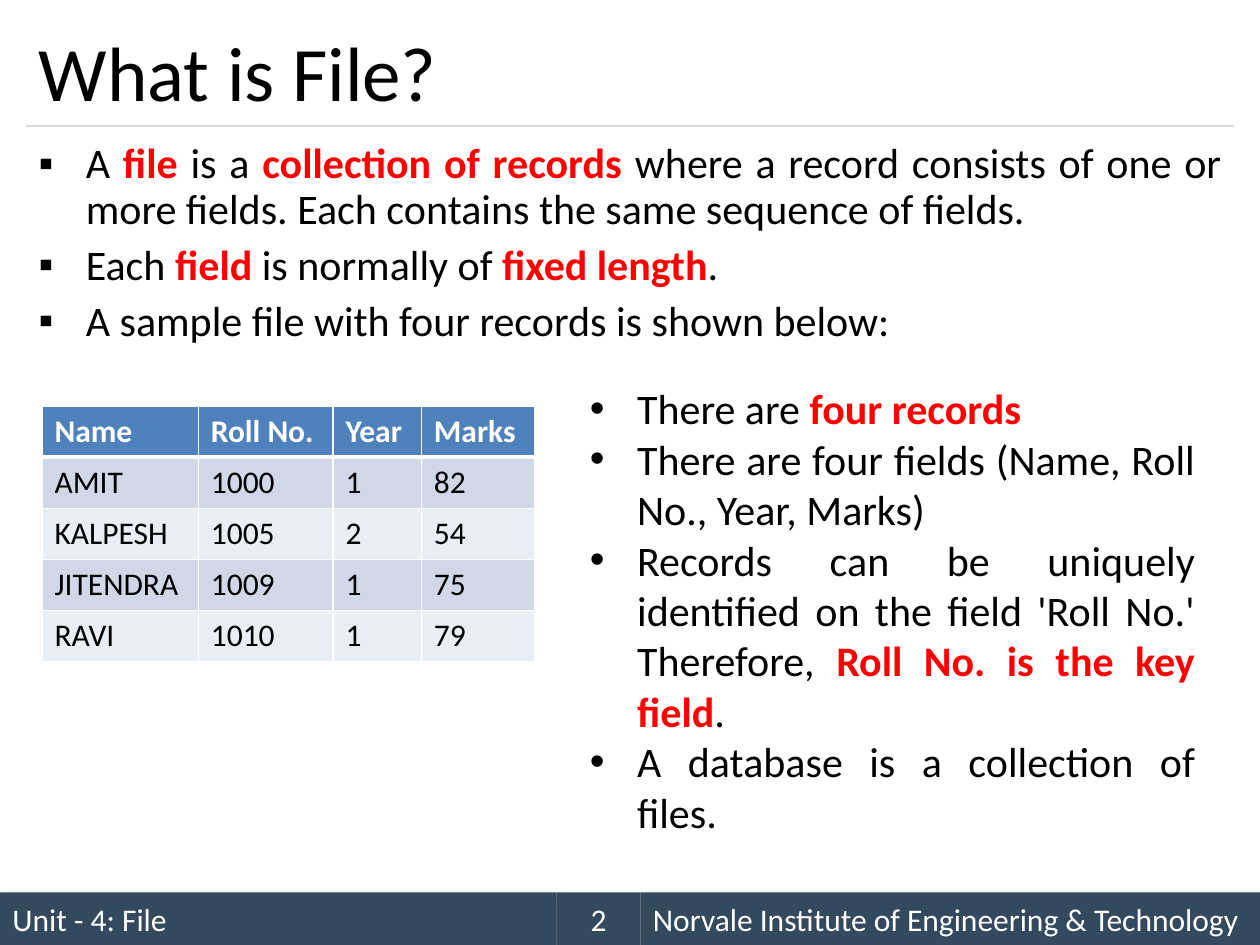
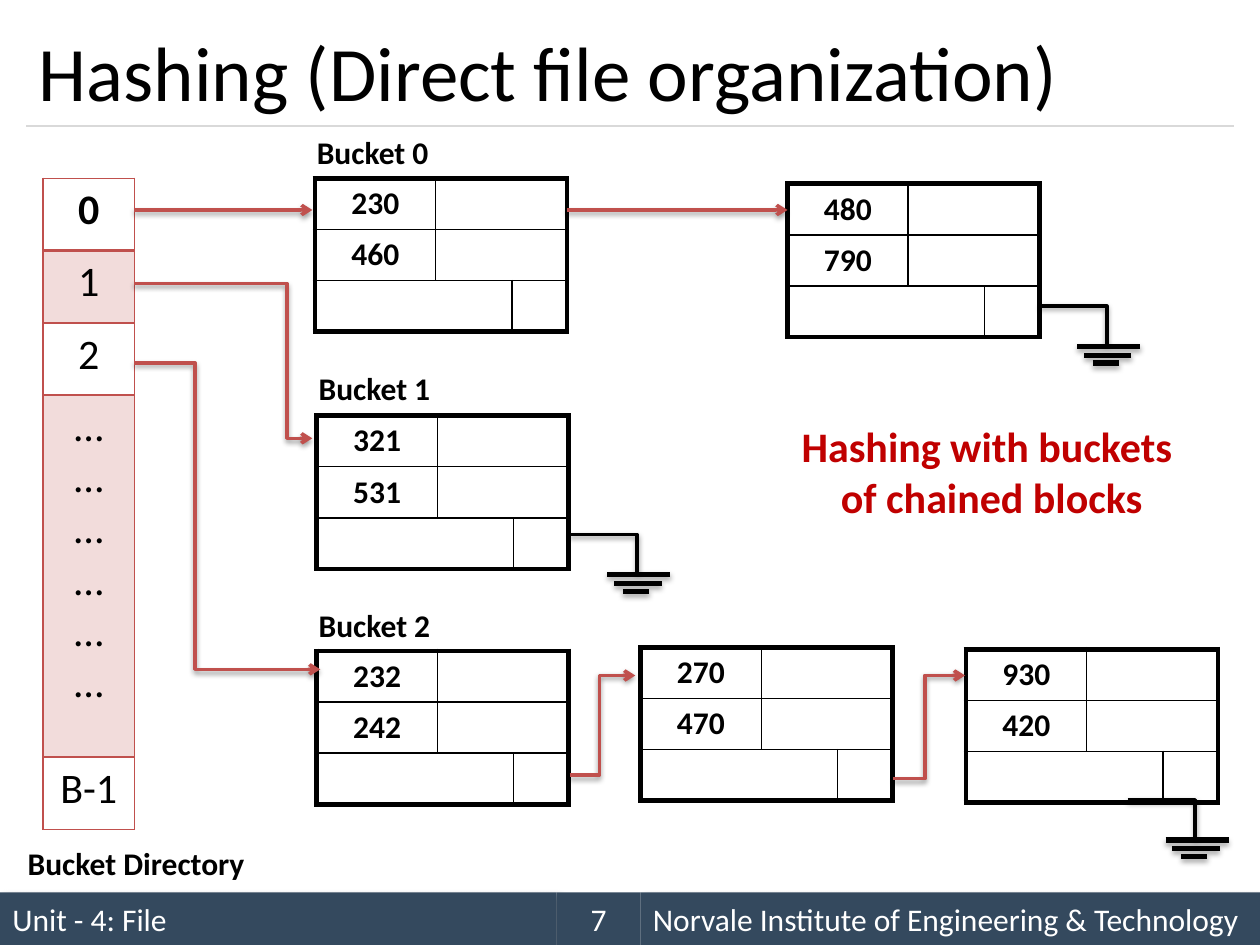
from dataclasses import dataclass
from itertools import accumulate, product
from typing import Any, NamedTuple, Sequence

from lxml.etree import SubElement
from pptx import Presentation
from pptx.dml.color import RGBColor as Rgb
from pptx.enum.shapes import MSO_CONNECTOR as Joint, MSO_SHAPE as Form
from pptx.enum.text import MSO_ANCHOR as Anchor, MSO_AUTO_SIZE as Fit, PP_ALIGN as Align
from pptx.oxml.ns import qn
from pptx.util import Pt


@dataclass(frozen=True)
class Theme:
    font: str = "Calibri"
    ink: str = "000000"
    white: str = "FFFFFF"
    band: str = "34495E"
    rule: str = "D9D9D9"
    key: str = "FF0000"
    note: str = "C00000"
    link: str = "C0504D"
    tint: str = "F2DCDB"
    head: str = "4F81BD"
    odd: str = "D0D8E8"
    even: str = "E9EDF4"
    title: int = 44
    body: int = 24
    small: int = 18


LOOK = Theme()


class Point(NamedTuple):
    x: float
    y: float


class Box(NamedTuple):
    x: float
    y: float
    w: float
    h: float


class Shade(NamedTuple):
    alpha: int
    blur: float
    dist: float
    turn: int


class Style(NamedTuple):
    size: int = LOOK.small
    color: str = LOOK.ink
    bold: bool = False
    align: Any = Align.LEFT


class Band(NamedTuple):
    text: str
    x: float
    w: float
    align: Any
    shade: Shade | None


class Block(NamedTuple):
    x: float
    y: float
    keys: tuple[str, str]


class Label(NamedTuple):
    text: str
    box: Box
    style: Style


class Link(NamedTuple):
    start: Point
    mid: float
    end: Point


BAND_SHADE = Shade(40, 4, 3, 45)
LINK_SHADE = Shade(38, 3.1, 1.6, 90)
BAR_SHADE = Shade(35, 3.1, 1.8, 90)
STRONG = Style(bold=True)
NOTE = Style(LOOK.body, LOOK.note, True, Align.CENTER)
HEAVY, LIGHT = 3, 1


def set_all(item: Any, values: dict[str, Any]) -> None:
    for name, value in values.items():
        setattr(item, name, value)


def paint(item: Any, color: str) -> None:
    item.solid()
    item.fore_color.rgb = Rgb.from_string(color)


def add_shade(item: Any, shade: Shade | None) -> None:
    props = item._element.spPr
    for old in props.findall(qn("a:effectLst")):
        props.remove(old)
    effects = SubElement(props, qn("a:effectLst"))
    if shade:
        cast = SubElement(effects, qn("a:outerShdw"), blurRad=str(Pt(shade.blur)),
                          dist=str(Pt(shade.dist)), dir=str(shade.turn * 60000),
                          algn="ctr", rotWithShape="0")
        color = SubElement(cast, qn("a:srgbClr"), val=LOOK.ink)
        SubElement(color, qn("a:alpha"), val=str(shade.alpha * 1000))


def stroke(item: Any, color: str, width: float, shade: Shade | None = None,
           arrow: bool = False) -> None:
    paint(item.line.fill, color)
    item.line.width = Pt(width)
    if arrow:
        SubElement(item.line._get_or_add_ln(), qn("a:tailEnd"), type="arrow")
    add_shade(item, shade)


def write(frame: Any, lines: Sequence[str], style: Style, bullet: str = "",
          space: dict[str, Any] | None = None) -> None:
    for num, line in enumerate(lines):
        para = frame.add_paragraph() if num else frame.paragraphs[0]
        set_all(para, {"alignment": style.align, **(space or {})})
        for part, text in enumerate(line.split("*")):
            if text:
                run = para.add_run()
                run.text = text
                marked = part % 2 == 1
                set_all(run.font, {"name": LOOK.font, "size": Pt(style.size),
                                   "bold": style.bold or marked})
                paint(run.font.fill, LOOK.key if marked else style.color)
        if bullet:
            props = para._p.get_or_add_pPr()
            props.set("marL", str(Pt(27)))
            props.set("indent", str(Pt(-27)))
            SubElement(props, qn("a:buFont"), typeface="Arial")
            SubElement(props, qn("a:buChar"), char=bullet)


def add_text(slide: Any, box: Box) -> Any:
    frame = slide.shapes.add_textbox(*map(Pt, box)).text_frame
    frame.word_wrap = True
    return frame


def add_label(slide: Any, label: Label) -> None:
    frame = add_text(slide, label.box)
    set_all(frame, {"word_wrap": False, "auto_size": Fit.SHAPE_TO_FIT_TEXT})
    write(frame, label.text.split("\n"), label.style)


def add_line(shapes: Any, start: Point, end: Point) -> Any:
    return shapes.add_connector(Joint.STRAIGHT, *map(Pt, (*start, *end)))


def add_bend(shapes: Any, points: Sequence[Point]) -> Any:
    first, *rest = [(Pt(x), Pt(y)) for x, y in points]
    outline = shapes.build_freeform(*first)
    outline.add_line_segments(rest, close=False)
    bend = outline.convert_to_shape()
    bend.fill.background()
    return bend


def add_link(slide: Any, link: Link) -> None:
    start, mid, end = link
    if start.y == end.y:
        item = add_line(slide.shapes, start, end)
    else:
        item = add_bend(slide.shapes, [start, Point(mid, start.y), Point(mid, end.y), end])
    stroke(item, LOOK.link, 2, LINK_SHADE, arrow=True)


def add_ground(slide: Any, start: Point) -> None:
    shapes = slide.shapes.add_group_shape().shapes
    x, y = start
    for left, right, drop in ((21.5, 57.5, 23), (25.5, 52.5, 28), (30.5, 45.5, 32.5)):
        bar = add_line(shapes, Point(x + left, y + drop), Point(x + right, y + drop))
        stroke(bar, LOOK.ink, HEAVY, BAR_SHADE)
    wire = add_bend(shapes, [start, Point(x + 38.5, y), Point(x + 38.5, y + 22)])
    stroke(wire, LOOK.ink, 2, LINK_SHADE)


def add_grid(slide: Any, x: float, y: float, cols: Sequence[float],
             rows: Sequence[float]) -> Any:
    frame = slide.shapes.add_table(len(rows), len(cols), *map(Pt, (x, y, sum(cols), sum(rows))))
    grid = frame.table
    set_all(grid, {"first_row": False, "horz_banding": False})
    for col, width in zip(grid.columns, cols):
        col.width = Pt(width)
    for row, height in zip(grid.rows, rows):
        row.height = Pt(height)
    return grid


def dress(cell: Any, sides: dict[str, float], edge: str, fill: str | None = None) -> None:
    props = cell._tc.get_or_add_tcPr()
    for side in "LRTB":
        if side in sides:
            line = SubElement(props, qn(f"a:ln{side}"), w=str(Pt(sides[side])))
            SubElement(SubElement(line, qn("a:solidFill")), qn("a:srgbClr"), val=edge)
    if fill:
        paint(cell.fill, fill)
    else:
        cell.fill.background()


def add_block(slide: Any, block: Block) -> None:
    grid = add_grid(slide, block.x, block.y, (69, 43.5, 31.5), [29] * 3)
    for row in (0, 1):
        grid.cell(row, 1).merge(grid.cell(row, 2))
        write(grid.cell(row, 0).text_frame, [block.keys[row]],
              STRONG._replace(align=Align.CENTER))
    grid.cell(2, 0).merge(grid.cell(2, 1))
    for row, col in product(range(3), repeat=2):
        cell = grid.cell(row, col)
        last = col == 2 or (col == 1 and row < 2)
        sides = {"L": LIGHT if col else HEAVY, "R": HEAVY if last else LIGHT,
                 "T": LIGHT if row else HEAVY, "B": HEAVY if row == 2 else LIGHT}
        if cell.is_spanned:
            del sides["L"]
        dress(cell, sides, LOOK.ink)


def add_records(slide: Any) -> None:
    rows = (("Name", "Roll No.", "Year", "Marks"),
            ("AMIT", "1000", "1", "82"),
            ("KALPESH", "1005", "2", "54"),
            ("JITENDRA", "1009", "1", "75"),
            ("RAVI", "1010", "1", "79"))
    grid = add_grid(slide, 24, 232, (89.3, 77, 50.5, 65), [29.25] * len(rows))
    for num, row in enumerate(rows):
        style = Style() if num else Style(color=LOOK.white, bold=True)
        fill = (LOOK.odd if num % 2 else LOOK.even) if num else LOOK.head
        sides = {"L": 1, "R": 1, "T": 3 if num == 1 else 1, "B": 1 if num else 3}
        for col, text in enumerate(row):
            cell = grid.cell(num, col)
            write(cell.text_frame, [text], style)
            dress(cell, sides, LOOK.white, fill)


def add_index(slide: Any) -> None:
    items = (["0"], ["1"], ["2"], ["…"] * 6, ["B-1"])
    grid = add_grid(slide, 24.5, 102, [52.5], [41.3, 41.3, 41.3, 206.8, 41.3])
    for num, lines in enumerate(items):
        cell = grid.cell(num, 0)
        write(cell.text_frame, lines, Style(LOOK.body, bold=num == 0, align=Align.CENTER))
        sides = {"L": 1, "R": 1, "T": 2 if num == 1 else 1, "B": 1 if num else 2}
        dress(cell, sides, LOOK.link, LOOK.tint if num % 2 else None)


def add_slide(deck: Any, title: str, page: int) -> Any:
    slide = deck.slides.add_slide(deck.slide_layouts[5])
    head = slide.shapes.title
    set_all(head, dict(zip(("left", "top", "width", "height"), map(Pt, (15, 9, 690, 63)))))
    set_all(head.text_frame, {"vertical_anchor": Anchor.MIDDLE, "word_wrap": True})
    write(head.text_frame, [title], Style(LOOK.title))
    stroke(add_line(slide.shapes, Point(15, 72), Point(705, 72)), LOOK.rule, 0.75)
    texts = ("Unit - 4: File", str(page), "Norvale Institute of Engineering & Technology")
    widths = (318, 48, 354)
    aligns = (Align.LEFT, Align.CENTER, Align.LEFT)
    shades = (BAND_SHADE, None, BAND_SHADE)
    bands = [Band(*part) for part in
             zip(texts, accumulate(widths, initial=0), widths, aligns, shades)]
    for band in (bands[0], bands[2], bands[1]):
        shape = slide.shapes.add_shape(Form.RECTANGLE, *map(Pt, (band.x, 510, band.w, 30)))
        paint(shape.fill, LOOK.band)
        shape.line.fill.background()
        add_shade(shape, band.shade)
        shape.text_frame.vertical_anchor = Anchor.MIDDLE
        write(shape.text_frame, [band.text], Style(color=LOOK.white, align=band.align))
    return slide


def file_slide(deck: Any) -> None:
    slide = add_slide(deck, "What is File?", 2)
    style = Style(LOOK.body, align=Align.JUSTIFY)
    write(add_text(slide, Box(15, 78, 690, 138)), (
        "A *file *is a *collection of records *where a record consists of one or more fields. "
        "Each contains the same sequence of fields.",
        "Each *field *is normally of *fixed length*.",
        "A sample file with four records is shown below:",
    ), style, "▪", {"line_spacing": 0.9, "space_before": Pt(6)})
    add_records(slide)
    write(add_text(slide, Box(330, 215.3, 360, 269)), (
        "There are *four records*",
        "There are four fields (Name, Roll No., Year, Marks)",
        "Records can be uniquely identified on the field 'Roll No.' Therefore, "
        "*Roll No. is the key field*.",
        "A database is a collection of files.",
    ), style, "•")


def hash_slide(deck: Any) -> None:
    slide = add_slide(deck, "Hashing (Direct file organization)", 7)
    add_index(slide)
    for block in (Block(180, 102, ("230", "460")), Block(450, 105, ("480", "790")),
                  Block(181, 237.5, ("321", "531")), Block(181, 372, ("232", "242")),
                  Block(366, 370, ("270", "470")), Block(552, 371, ("930", "420"))):
        add_block(slide, block)
    for num, (x, y) in enumerate(((174, 72.5), (175, 207.5), (175, 342.5))):
        add_label(slide, Label(f"Bucket {num}", Box(x, y, 79, 29), STRONG))
    for link in (Link(Point(76.5, 162), 164, Point(178.5, 250.5)),
                 Link(Point(76.5, 120), 0, Point(178.5, 120)),
                 Link(Point(76.5, 207.5), 111.5, Point(183, 382.5)),
                 Link(Point(324, 120), 0, Point(450, 120)),
                 Link(Point(325.5, 443), 342.5, Point(363, 386)),
                 Link(Point(510.5, 445), 528.5, Point(551.5, 386))):
        add_link(slide, link)
    for start in (Point(594, 175), Point(325.5, 305.5), Point(644.5, 457)):
        add_ground(slide, start)
    add_label(slide, Label("Hashing with buckets\n of chained blocks", Box(450, 237, 228, 65.5), NOTE))
    add_label(slide, Label("Bucket Directory", Box(8.75, 479, 139.5, 29), STRONG))


def main() -> None:
    deck = Presentation()
    set_all(deck, {"slide_width": Pt(720), "slide_height": Pt(540)})
    file_slide(deck)
    hash_slide(deck)
    deck.save("out.pptx")


if __name__ == "__main__":
    main()
